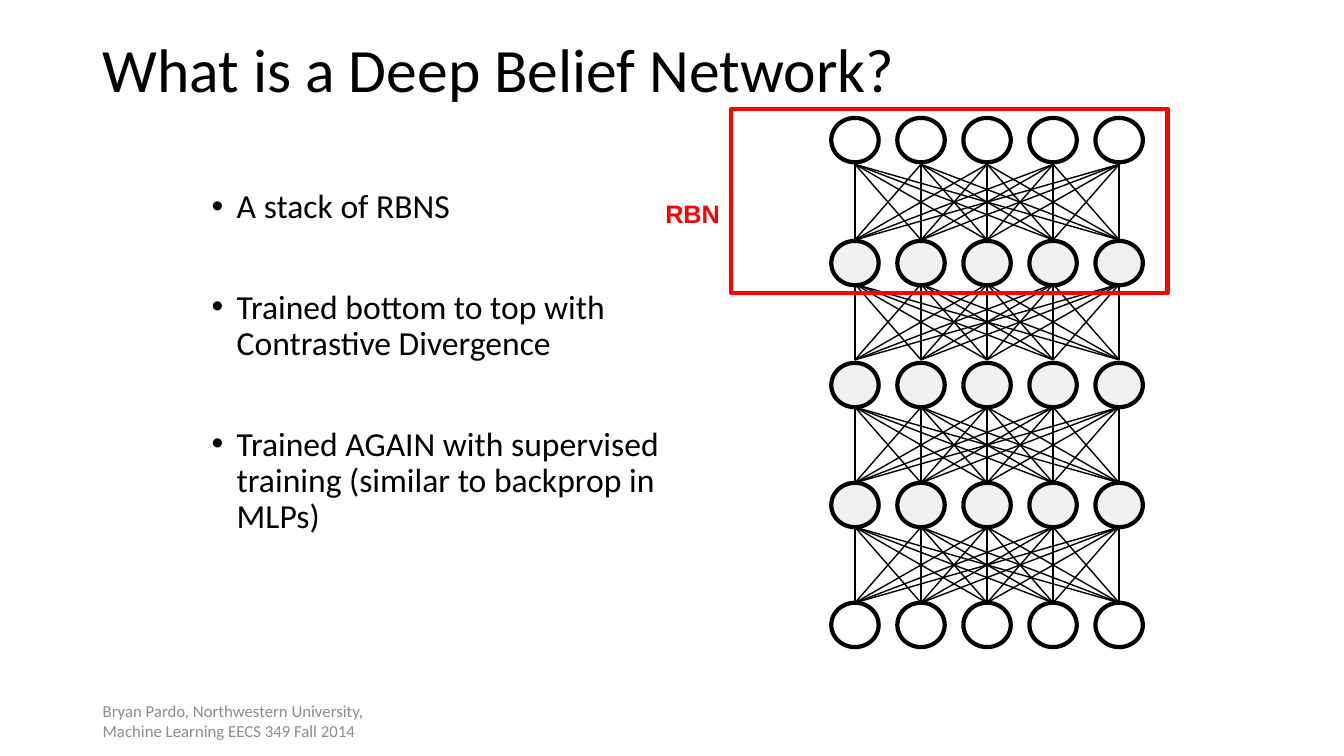
from itertools import product

from lxml.etree import SubElement
from pptx import Presentation
from pptx.dml.color import RGBColor
from pptx.enum.shapes import MSO_CONNECTOR, MSO_SHAPE
from pptx.enum.text import MSO_ANCHOR, MSO_AUTO_SIZE, PP_ALIGN
from pptx.oxml.ns import qn
from pptx.util import Inches, Pt

BLACK = RGBColor(0x00, 0x00, 0x00)
WHITE = RGBColor(0xFF, 0xFF, 0xFF)
HIDDEN_GRAY = RGBColor(0xF1, 0xF0, 0xF0)
FOOTER_GRAY = RGBColor(0x8C, 0x8C, 0x8C)
RED = RGBColor(0xFF, 0x00, 0x00)

TITLE = "What is a Deep Belief Network?"
POINTS = [
    "A stack of RBNS",
    "Trained bottom to top with Contrastive Divergence",
    "Trained AGAIN with supervised training (similar to backprop in MLPs)",
]
FOOTER = "Bryan Pardo, Northwestern University, Machine Learning EECS 349 Fall 2014"
FRAME_LABEL = "RBN"

LAYERS = [
    (1.17, WHITE),
    (2.39, HIDDEN_GRAY),
    (3.6, HIDDEN_GRAY),
    (4.79, HIDDEN_GRAY),
    (5.98, WHITE),
]
LINK_TOPS = [1.63, 2.82, 4.04, 5.23]
LINK_HEIGHT = 0.75
UNITS = 5
FIRST_CENTER, LAST_CENTER = 8.48, 11.1
UNIT_WIDTH, UNIT_HEIGHT = 0.47, 0.44


def add_run(paragraph, text, size, color, font="Calibri", bold=False):
    run = paragraph.add_run()
    run.text = text
    run.font.name = font
    run.font.size = Pt(size)
    run.font.bold = bold
    run.font.color.rgb = color


def add_text_frame(shapes, left, top, width, height, wrap=True):
    box = shapes.add_textbox(Inches(left), Inches(top), Inches(width), Inches(height))
    box.text_frame.word_wrap = wrap
    return box.text_frame


def add_outlined(shapes, kind, left, top, width, height, color):
    outlined = shapes.add_shape(
        kind, Inches(left), Inches(top), Inches(width), Inches(height))
    outlined.shadow.inherit = False
    outlined.line.color.rgb = color
    outlined.line.width = Pt(3)
    return outlined


def add_title(slide):
    title = slide.shapes.title
    title.left, title.top = Inches(0.92), Inches(-0.01)
    title.width, title.height = Inches(11.5), Inches(1.45)
    frame = title.text_frame
    frame.auto_size = MSO_AUTO_SIZE.NONE
    frame.vertical_anchor = MSO_ANCHOR.MIDDLE
    heading = frame.paragraphs[0]
    heading.alignment = PP_ALIGN.LEFT
    heading.line_spacing = 0.9
    add_run(heading, TITLE, 44, BLACK)


def add_points(slide):
    frame = add_text_frame(slide.shapes, 2, 1.83, 4.83, 5)
    for index, text in enumerate(POINTS):
        point = frame.add_paragraph() if index else frame.paragraphs[0]
        properties = point._p.get_or_add_pPr()
        properties.set("marL", str(Inches(0.25)))
        properties.set("indent", str(-Inches(0.25)))
        SubElement(properties, qn("a:buFont")).set("typeface", "Arial")
        SubElement(properties, qn("a:buChar")).set("char", "•")
        point.line_spacing = 0.9
        if index:
            point.space_before = Pt(46)
        add_run(point, text, 24, BLACK)


def add_footer(slide):
    frame = add_text_frame(slide.shapes, 0.92, 6.95, 3, 0.4)
    frame.vertical_anchor = MSO_ANCHOR.MIDDLE
    add_run(frame.paragraphs[0], FOOTER, 12, FOOTER_GRAY)


def add_network(slide):
    network = slide.shapes.add_group_shape().shapes
    pitch = (LAST_CENTER - FIRST_CENTER) / (UNITS - 1)
    centers = [FIRST_CENTER + pitch * column for column in range(UNITS)]

    for (top, fill), center in product(LAYERS, centers):
        unit = add_outlined(network, MSO_SHAPE.OVAL, center - UNIT_WIDTH / 2, top,
                            UNIT_WIDTH, UNIT_HEIGHT, BLACK)
        unit.fill.solid()
        unit.fill.fore_color.rgb = fill

    for top, upper, lower in product(LINK_TOPS, centers, centers):
        link = network.add_connector(
            MSO_CONNECTOR.STRAIGHT, Inches(upper), Inches(top),
            Inches(lower), Inches(top + LINK_HEIGHT))
        link.line.color.rgb = BLACK
        link.line.width = Pt(1)
        SubElement(link._element.spPr, qn("a:effectLst"))


def add_rbn_frame(slide):
    highlight = slide.shapes.add_group_shape().shapes
    frame = add_outlined(highlight, MSO_SHAPE.RECTANGLE, 7.25, 1.08, 4.33, 1.83, RED)
    frame.fill.background()
    label = add_text_frame(highlight, 6.5, 1.92, 0.75, 0.4, wrap=False)
    label.auto_size = MSO_AUTO_SIZE.SHAPE_TO_FIT_TEXT
    add_run(label.paragraphs[0], FRAME_LABEL, 18, RED, "Arial", True)


def main():
    deck = Presentation()
    deck.slide_width, deck.slide_height = Inches(13.33), Inches(7.5)
    slide = deck.slides.add_slide(deck.slide_layouts[5])
    add_title(slide)
    add_points(slide)
    add_footer(slide)
    add_network(slide)
    add_rbn_frame(slide)
    deck.save("out.pptx")


if __name__ == "__main__":
    main()
